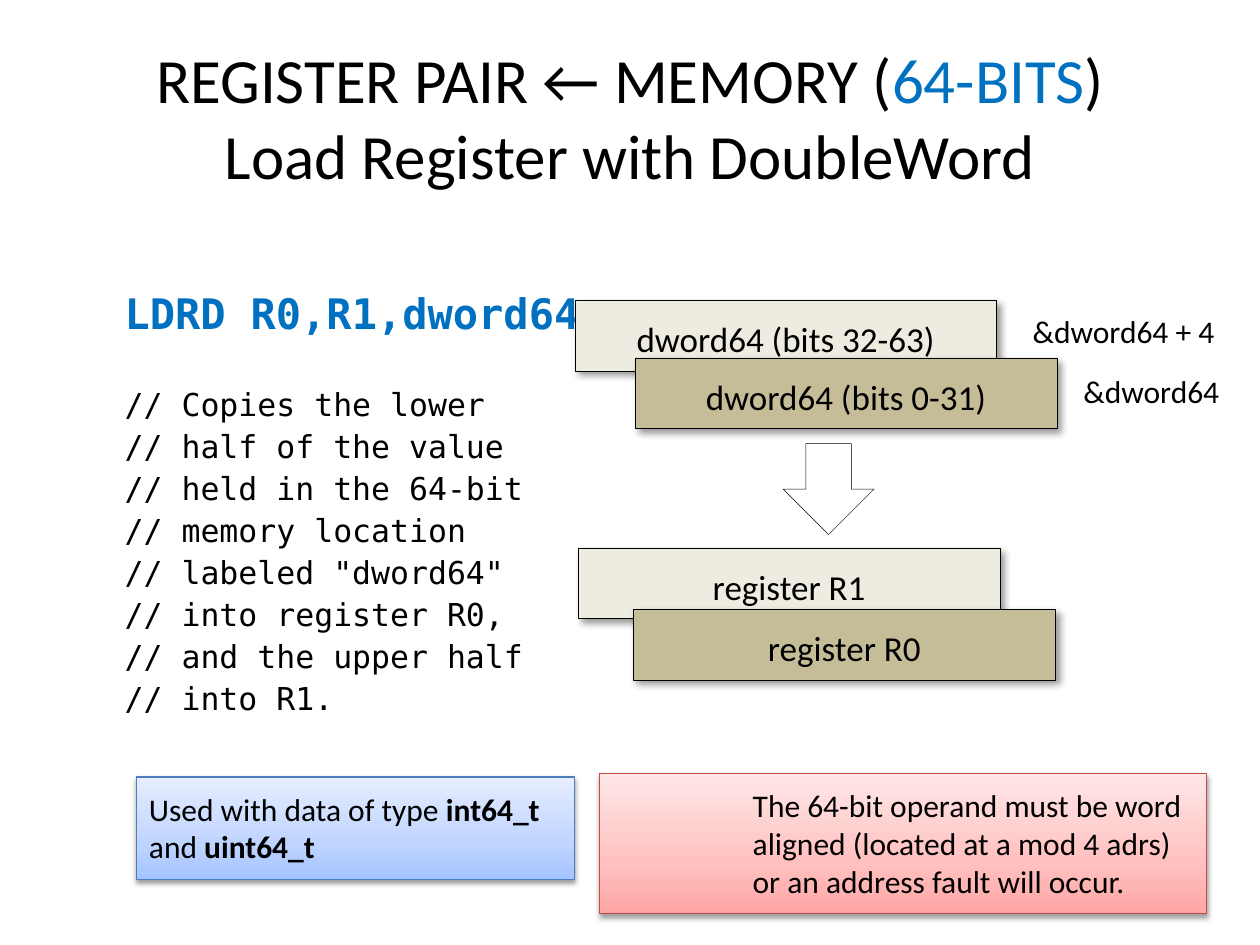
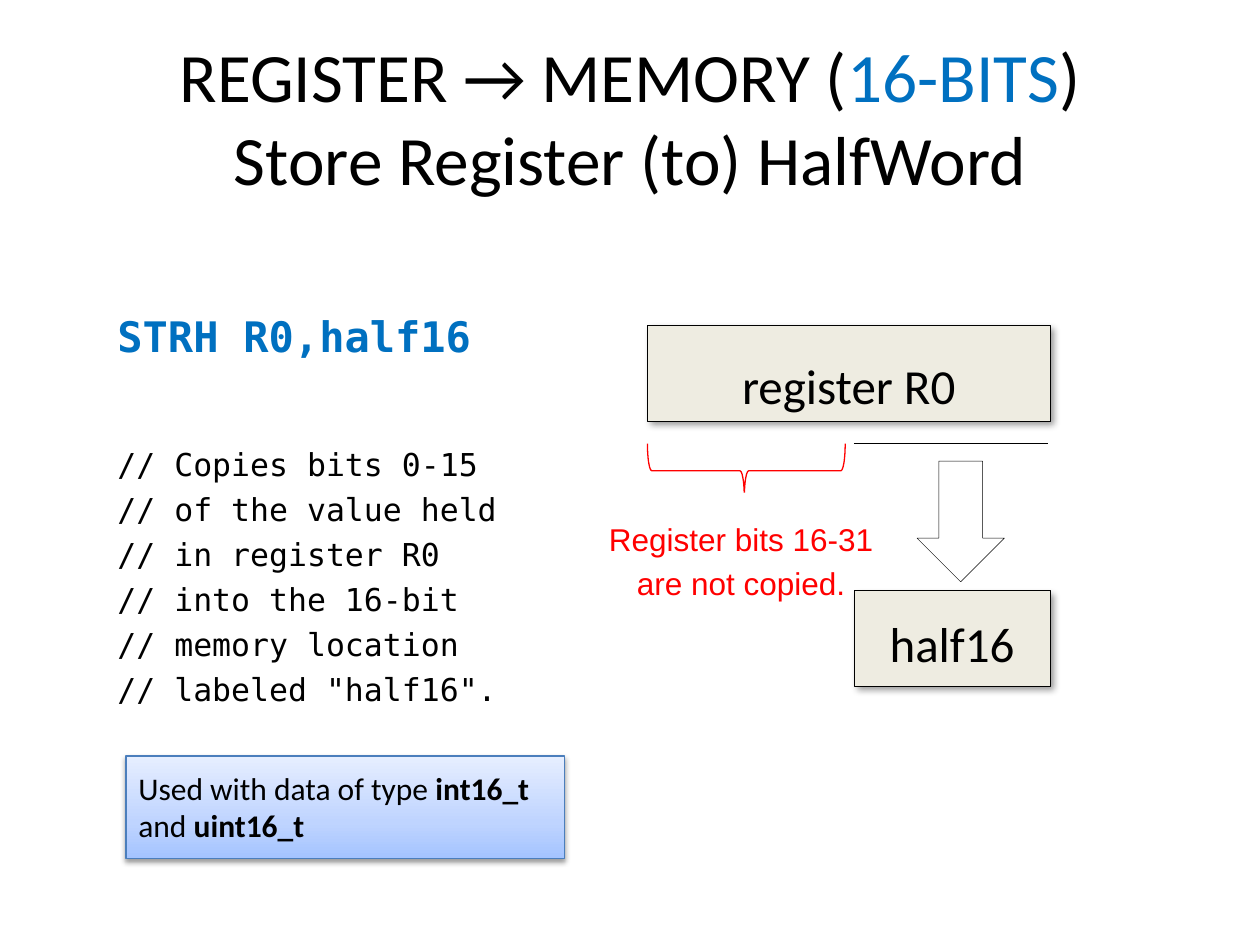
from lxml import etree
from pptx import Presentation
from pptx.dml.color import RGBColor
from pptx.enum import shapes, text
from pptx.oxml.ns import qn
from pptx.util import Pt

BLACK = RGBColor(0x00, 0x00, 0x00)
WHITE = RGBColor(0xFF, 0xFF, 0xFF)
BLUE = RGBColor(0x00, 0x70, 0xC0)
RED = RGBColor(0xFF, 0x00, 0x00)
PALE = RGBColor(0xEE, 0xEC, 0xE1)
TAN = RGBColor(0xC4, 0xBD, 0x97)
BLUE_EDGE = RGBColor(0x4B, 0x7E, 0xBC)
RED_EDGE = RGBColor(0xBF, 0x4C, 0x48)
BLUE_FADE = [RGBColor(0xA4, 0xC4, 0xFF), RGBColor(0xBF, 0xD4, 0xFF), RGBColor(0xE6, 0xEE, 0xFF)]
RED_FADE = [RGBColor(0xFF, 0xA6, 0xA5), RGBColor(0xFF, 0xC0, 0xBF), RGBColor(0xFF, 0xE7, 0xE7)]
FADE_STOPS = [0, 35, 100]
BODY, CODE, CAPTION = "Calibri", "DejaVu Sans Mono", "Arial"
CENTER = text.PP_ALIGN.CENTER
TOP, MIDDLE, BOTTOM = (text.MSO_ANCHOR.TOP, text.MSO_ANCHOR.MIDDLE, text.MSO_ANCHOR.BOTTOM)
SHAPE = shapes.MSO_SHAPE


def write(para, spans, size=18, font=BODY, color=BLACK, bold=False,
          align=None, spacing=None, before=None, indent=None):
    if indent:
        para._p.get_or_add_pPr().set("marL", str(Pt(indent)))
    para.alignment = align
    para.line_spacing = spacing
    if before:
        para.space_before = Pt(before)
    for words, style in spans:
        if words == "\n":
            para.add_line_break()
            etree.SubElement(para._p[-1], qn("a:rPr"), sz=str(int(size * 100)))
            continue
        span = para.add_run()
        span.text = words
        span.font.size = Pt(size)
        span.font.name = font
        span.font.bold = style.get("bold", bold)
        span.font.color.rgb = style.get("color", color)


class Slides:
    def __init__(self):
        self.deck = Presentation()
        self.deck.slide_width, self.deck.slide_height = Pt(720), Pt(540)
        self.page = None

    def add_page(self, before, accent, after, subtitle, left, size):
        self.page = self.deck.slides.add_slide(self.deck.slide_layouts[5])
        title = self.page.shapes.title
        title.left, title.top = Pt(left), Pt(21.6)
        title.width, title.height = Pt(720 - 2 * left), Pt(90)
        frame = title.text_frame
        frame.auto_size = text.MSO_AUTO_SIZE.NONE
        frame.vertical_anchor = MIDDLE
        spans = [(before, {}), (accent, {"color": BLUE}), (after, {}),
                 ("\n", {}), (subtitle, {})]
        write(frame.paragraphs[0], spans, size=size, align=CENTER)

    def text_box(self, left, top, width, height):
        box = self.page.shapes.add_textbox(Pt(left), Pt(top), Pt(width), Pt(height))
        box.text_frame.word_wrap = True
        return box.text_frame

    def label(self, words, *place):
        write(self.text_box(*place).paragraphs[0], [(words, {})])

    def code(self, frame, instruction, comments, gap, spacing, first_spacing=None):
        write(frame.paragraphs[0], [(instruction, {})], size=24, font=CODE,
              color=BLUE, bold=True, spacing=first_spacing)
        for number, comment in enumerate(comments):
            write(frame.add_paragraph(), [("// " + comment, {})], font=CODE,
                  spacing=spacing, before=None if number else gap)

    def code_table(self, left, top, widths, height):
        table = self.page.shapes.add_table(1, len(widths), Pt(left), Pt(top),
                                           Pt(sum(widths)), Pt(height)).table
        table.first_row = table.horz_banding = False
        for column, width in enumerate(widths):
            table.columns[column].width = Pt(width)
            cell = table.cell(0, column)
            cell.fill.background()
            cell.margin_left = cell.margin_right = Pt(5)
            cell.margin_top = cell.margin_bottom = 0
        return table.cell(0, 0).text_frame

    def shape(self, kind, left, top, width, height, fill=None, line=None, weight=0.25):
        box = self.page.shapes.add_shape(kind, Pt(left), Pt(top), Pt(width), Pt(height))
        box.shadow.inherit = False
        if fill is None:
            box.fill.background()
        else:
            box.fill.solid()
            box.fill.fore_color.rgb = fill
        if line is None:
            box.line.fill.background()
        else:
            box.line.color.rgb = line
            box.line.width = Pt(weight)
        box.text_frame.word_wrap = True
        return box

    def cast_shadow(self, box, opacity, blur, distance, angle):
        effects = box._element.spPr.find(qn("a:effectLst"))
        shadow = etree.SubElement(effects, qn("a:outerShdw"), blurRad=str(Pt(blur)),
                                  dist=str(Pt(distance)), dir=str(angle * 60000),
                                  algn="ctr", rotWithShape="0")
        color = etree.SubElement(shadow, qn("a:srgbClr"), val=str(BLACK))
        etree.SubElement(color, qn("a:alpha"), val=str(opacity * 1000))

    def storage(self, words, left, top, width, height, fill=PALE, size=20,
                anchor=MIDDLE, top_margin=3.6):
        box = self.shape(SHAPE.RECTANGLE, left, top, width, height, fill, BLACK)
        self.cast_shadow(box, 40, 4, 3, 45)
        frame = box.text_frame
        frame.vertical_anchor = anchor
        frame.margin_top = Pt(top_margin)
        write(frame.paragraphs[0], [(words, {})], size=size, align=CENTER, spacing=1.15)

    def arrow(self, *place):
        self.shape(SHAPE.DOWN_ARROW, *place, fill=WHITE, line=BLACK)

    def line(self, left, right, level):
        rule = self.page.shapes.add_connector(shapes.MSO_CONNECTOR.STRAIGHT, Pt(left),
                                              Pt(level), Pt(right), Pt(level))
        rule.line.color.rgb = BLACK
        rule.line.width = Pt(0.75)
        etree.SubElement(rule._element.spPr, qn("a:effectLst"))

    def brace(self, *place):
        brace = self.shape(SHAPE.LEFT_BRACE, *place, line=RED, weight=0.75)
        brace.rotation = 270
        brace.adjustments[0], brace.adjustments[1] = 0.08, 0.49

    def caption(self, words, *place):
        box = self.shape(SHAPE.RECTANGLE, *place, fill=WHITE)
        frame = box.text_frame
        frame.vertical_anchor = MIDDLE
        frame.margin_left = frame.margin_right = frame.margin_top = frame.margin_bottom = 0
        write(frame.paragraphs[0], [(words, {})], font=CAPTION, color=RED,
              align=CENTER, spacing=1.15)

    def note(self, spans, left, top, width, height, fade=BLUE_FADE, edge=BLUE_EDGE, indent=None):
        box = self.shape(SHAPE.RECTANGLE, left, top, width, height, line=edge, weight=0.75)
        box.fill.gradient()
        box.fill.gradient_angle = 90
        stops = box._element.spPr.find(".//" + qn("a:gsLst"))
        for stop in list(stops):
            stops.remove(stop)
        for position, color in zip(FADE_STOPS, fade):
            stop = etree.SubElement(stops, qn("a:gs"), pos=str(position * 1000))
            etree.SubElement(stop, qn("a:srgbClr"), val=str(color))
        self.cast_shadow(box, 38, 3.1, 1.6, 90)
        frame = box.text_frame
        frame.vertical_anchor = TOP
        frame.margin_left = frame.margin_right = frame.margin_top = frame.margin_bottom = Pt(7.2)
        write(frame.paragraphs[0], spans, align=text.PP_ALIGN.LEFT, indent=indent)

    def type_note(self, bits, left, top):
        strong = {"bold": True}
        self.note([("Used with data of type ", {}), (f"int{bits}_t ", strong),
                   ("and", {}), (f" uint{bits}_t", strong)], left, top, 250.5, 58.5)


def load_doubleword(slides):
    slides.add_page("REGISTER PAIR ← MEMORY (", "64-BITS", ")",
                    "Load Register with DoubleWord", left=0, size=36)
    comments = ["Copies the lower", "half of the value", "held in the 64-bit",
                "memory location", 'labeled "dword64"', "into register R0,",
                "and the upper half", "into R1."]
    slides.code(slides.code_table(66.25, 162, [275.75, 162], 281),
                "LDRD\tR0,R1,dword64", comments, gap=24, spacing=1.15, first_spacing=1.15)
    word = (241, 40.5)
    slides.storage("dword64 (bits 32-63)", 328.5, 171.5, *word)
    slides.storage("register R1", 330.5, 313, *word)
    slides.arrow(447.5, 253.5, 52, 52)
    slides.storage("dword64 (bits 0-31)", 363, 204.5, *word, fill=TAN)
    slides.storage("register R0", 362, 348, *word, fill=TAN)
    slides.type_note(64, 78, 444)
    slides.label("&dword64 + 4", 583, 175, 137, 29)
    slides.label("&dword64", 612, 209, 104, 29)
    warning = ("The 64-bit operand must be word aligned (located at a mod 4 adrs) "
               "or an address fault will occur.")
    slides.note([(warning, {})], 342.5, 442, 347, 80, RED_FADE, RED_EDGE, indent=80.5)


def store_halfword(slides):
    slides.add_page("REGISTER → MEMORY (", "16-BITS", ")",
                    "Store Register (to) HalfWord", left=36, size=39.6)
    comments = ["Copies bits 0-15", "of the value held", "in register R0",
                "into the 16-bit", "memory location", 'labeled "half16".']
    slides.code(slides.text_box(60, 174, 264, 252), "STRH\tR0,half16", comments,
                gap=44, spacing=1.19)
    slides.storage("register R0", 370, 186, 230, 54.5, size=28, anchor=BOTTOM, top_margin=21.6)
    slides.arrow(524, 263.5, 50, 69)
    slides.brace(411, 212.5, 31, 113)
    slides.line(488, 599, 253.5)
    slides.caption("Register bits 16-31 are not copied.", 342, 281.5, 163, 75)
    slides.storage("half16", 488, 337.5, 112, 54.5, size=28)
    slides.type_note(16, 72, 432)


def main():
    slides = Slides()
    load_doubleword(slides)
    store_halfword(slides)
    slides.deck.save("out.pptx")


if __name__ == "__main__":
    main()
